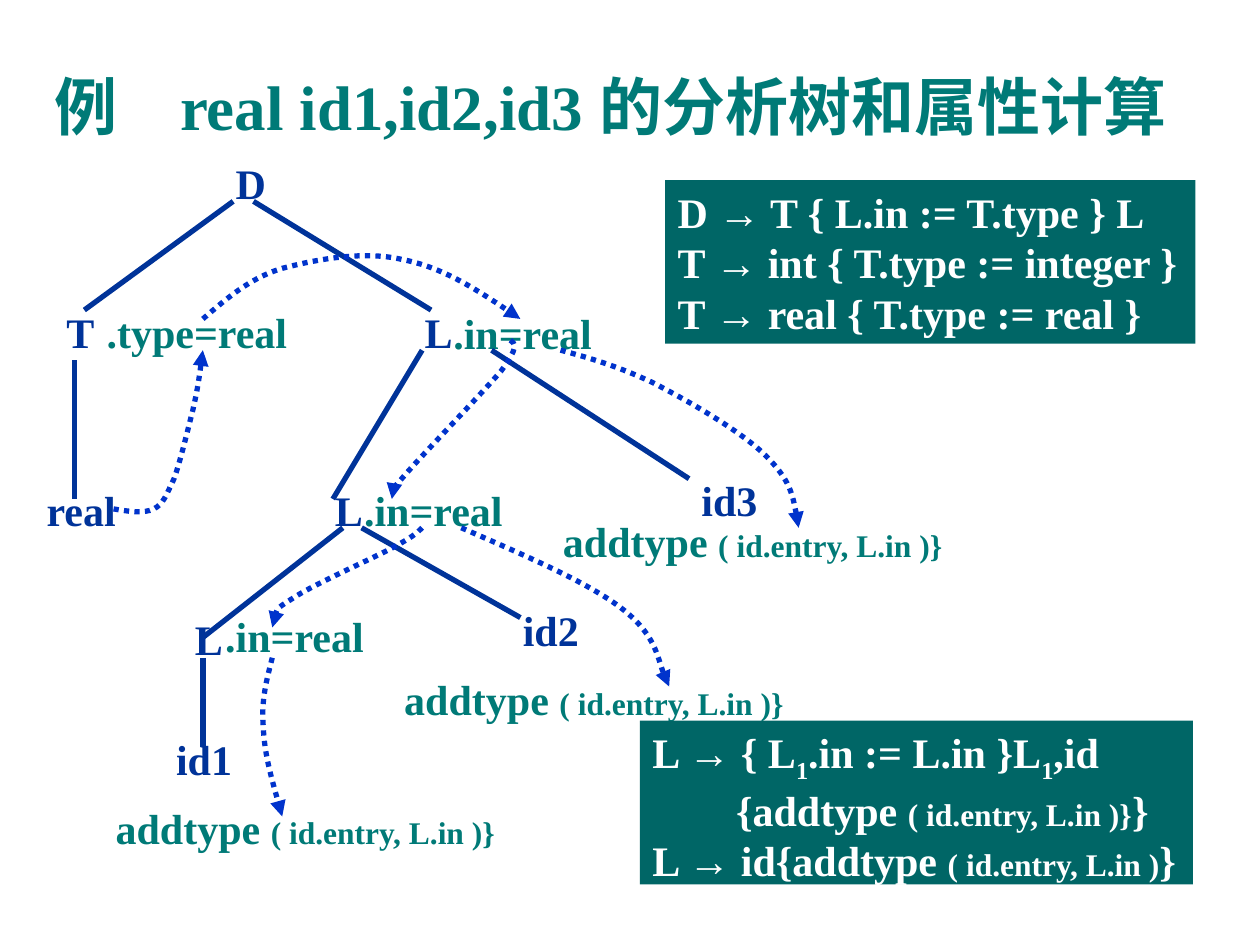
from lxml.etree import SubElement
from pptx import Presentation
from pptx.dml.color import RGBColor
from pptx.enum.dml import MSO_LINE
from pptx.enum.shapes import MSO_CONNECTOR, MSO_SHAPE
from pptx.enum.text import MSO_ANCHOR, MSO_AUTO_SIZE as AutoSize, PP_ALIGN
from pptx.oxml.ns import qn
from pptx.util import Cm, Pt

COLORS = {
    "teal": "007A77",
    "panel": "006666",
    "navy": "003399",
    "blue": "0033CC",
    "white": "FFFFFF",
}


def add_span(para, text, color, size=24, baseline=0):
    span = para.add_run()
    span.text = text
    style = {"name": "Times New Roman", "size": Pt(size), "bold": True}
    for name, value in style.items():
        setattr(span.font, name, value)
    span.font.color.rgb = RGBColor.from_string(COLORS[color])
    if baseline:
        span.font._element.set("baseline", str(baseline))


def fit_frame(box):
    frame = box.text_frame
    frame.word_wrap = False
    frame.auto_size = AutoSize.SHAPE_TO_FIT_TEXT
    frame.vertical_anchor = MSO_ANCHOR.TOP
    return frame


deck = Presentation()
deck.slide_width, deck.slide_height = Cm(25.4), Cm(19.05)
page = deck.slides.add_slide(deck.slide_layouts[5])

# Title
title = page.shapes.title
place = {"left": 0.3, "top": 1.22, "width": 24, "height": 1.8}
for name, value in place.items():
    setattr(title, name, Cm(value))
title.text_frame.auto_size = AutoSize.NONE
title.text_frame.vertical_anchor = MSO_ANCHOR.MIDDLE
para = title.text_frame.paragraphs[0]
para.alignment = PP_ALIGN.CENTER
add_span(para, "例　real id1,id2,id3 的分析树和属性计算", "teal", 36)

# Tree nodes, attributes and actions: left, top, width, color, spans
symbols = [
    ("D", 4.5, 3.05, 1.12), ("T", 1.09, 6.05, 1.07), ("L", 8.31, 6.05, 1.07),
    ("real", 0.69, 9.65, 1.9), ("L", 6.5, 9.65, 1.07), ("id3", 13.89, 9.45, 1.65),
    ("id2", 10.29, 12.07, 1.65), ("L", 3.68, 12.24, 1.07), ("id1", 3.3, 14.66, 1.65),
]
attributes = [
    (".type=real", 1.9, 6.05, 4.17), (".in=real", 8.89, 6.07, 3.3),
    (".in=real", 7.09, 9.65, 3.3), (".in=real", 4.29, 12.19, 3.3),
]
call = [("addtype ", 24), ("( id.entry, L.in )}", 18)]
labels = [(x, y, w, "navy", [(text, 24)]) for text, x, y, w in symbols]
labels += [(x, y, w, "teal", [(text, 24)]) for text, x, y, w in attributes]
labels += [(x, y, 8.2, "teal", call) for x, y in [(7.9, 13.46), (11.1, 10.26), (2.08, 16.05)]]
for left, top, width, color, spans in labels:
    box = page.shapes.add_textbox(Cm(left), Cm(top), Cm(width), Cm(1.27))
    para = fit_frame(box).paragraphs[0]
    for text, size in spans:
        add_span(para, text, color, size)

# Tree edges
edges = [
    (4.7, 4.06, 1.7, 6.25), (5.11, 4.06, 8.69, 6.25), (1.5, 7.26, 1.5, 10.06),
    (6.91, 10.64, 4.09, 12.85), (4.09, 13.26, 4.09, 15.06), (7.29, 10.64, 10.49, 12.45),
    (9.91, 7.06, 13.89, 9.65), (8.51, 7.06, 6.71, 10.06),
]
for edge in edges:
    link = page.shapes.add_connector(MSO_CONNECTOR.STRAIGHT, *map(Cm, edge))
    link.line.width = Pt(3)
    link.line.color.rgb = RGBColor.from_string(COLORS["navy"])
    SubElement(link._element.spPr, qn("a:effectLst"))

# Dotted dependency arrows: a start point, then three points per Bezier curve
flows = [
    [(2.29, 10.26), (2.59, 10.31), (2.9, 10.36), (3.1, 10.26),
     (3.3, 10.16), (3.35, 9.98), (3.51, 9.65), (3.63, 9.32), (3.78, 8.69), (3.89, 8.26),
     (3.99, 7.82), (4.04, 7.44), (4.09, 7.06)],
    [(4.09, 6.43), (4.57, 6.02), (5.03, 5.61), (5.69, 5.41),
     (6.38, 5.23), (7.32, 5.05), (8.1, 5.23), (8.89, 5.38), (9.7, 5.89), (10.49, 6.43)],
    [(10.29, 6.86), (10.39, 6.93), (10.46, 6.99), (10.11, 7.47),
     (9.73, 7.92), (8.46, 9.22), (8.1, 9.65), (7.72, 10.08), (7.82, 10.08), (7.9, 10.06)],
    [(8.51, 10.64), (8.41, 10.74), (8.33, 10.82), (7.9, 11.05),
     (7.47, 11.28), (6.3, 11.79), (5.89, 12.07), (5.49, 12.32), (5.49, 12.5), (5.49, 12.65)],
    [(5.49, 13.26), (5.38, 13.69), (5.26, 14.12), (5.31, 14.66),
     (5.33, 15.19), (5.51, 15.82), (5.69, 16.46)],
    [(9.3, 10.64), (10.54, 11.18), (11.79, 11.71), (12.5, 12.24),
     (13.21, 12.78), (13.34, 13.59), (13.49, 13.84)],
    [(11.3, 7.06), (11.86, 7.21), (12.42, 7.37), (13.13, 7.7),
     (13.82, 8.05), (14.94, 8.69), (15.44, 9.19), (15.93, 9.68), (16.03, 10.16), (16.1, 10.64)],
]
for flow in flows:
    start, *points = [(Cm(x), Cm(y)) for x, y in flow]
    builder = page.shapes.build_freeform(*start)
    builder.add_line_segments(points, close=False)
    arrow = builder.convert_to_shape()
    arrow.shadow.inherit = False
    arrow.fill.background()
    arrow.line.width = Pt(3)
    arrow.line.color.rgb = RGBColor.from_string(COLORS["blue"])
    arrow.line.dash_style = MSO_LINE.ROUND_DOT
    SubElement(arrow.line._get_or_add_ln(), qn("a:tailEnd"), type="triangle")
    outline = next(arrow._element.iter(qn("a:path")))
    for index, step in enumerate(outline.findall(qn("a:lnTo"))):
        if index % 3 == 0:
            curve = SubElement(outline, qn("a:cubicBezTo"))
        curve.append(step[0])
        outline.remove(step)

# Grammar panels: each paragraph is an indent and its spans
panels = [
    ((13.41, 3.63, 10.69, 3.3), [
        (0, [("D → T { L.in := T.type } L",)]),
        (0, [("T → int { T.type := integer }",)]),
        (0, [("T → real { T.type := real }",)]),
    ]),
    ((12.9, 14.53, 11.15, 3.3), [
        (0, [("L → { L",), ("1", 24, -25000), (".in := L.in }L",), ("1", 24, -25000), (",id",)]),
        (1.69, [("{addtype ",), ("( id.entry, L.in )}", 18), ("}",)]),
        (0, [("L → id{addtype ",), ("( id.entry, L.in )", 18), ("}",)]),
    ]),
]
for place, rules in panels:
    panel = page.shapes.add_shape(MSO_SHAPE.RECTANGLE, *map(Cm, place))
    panel.shadow.inherit = False
    panel.fill.solid()
    panel.fill.fore_color.rgb = RGBColor.from_string(COLORS["panel"])
    panel.line.fill.background()
    frame = fit_frame(panel)
    for index, (indent, spans) in enumerate(rules):
        para = frame.add_paragraph() if index else frame.paragraphs[0]
        para.alignment = PP_ALIGN.LEFT
        if indent:
            para._p.get_or_add_pPr().set("marL", str(Cm(indent)))
        for text, *style in spans:
            add_span(para, text, "white", *style)

deck.save("out.pptx")
